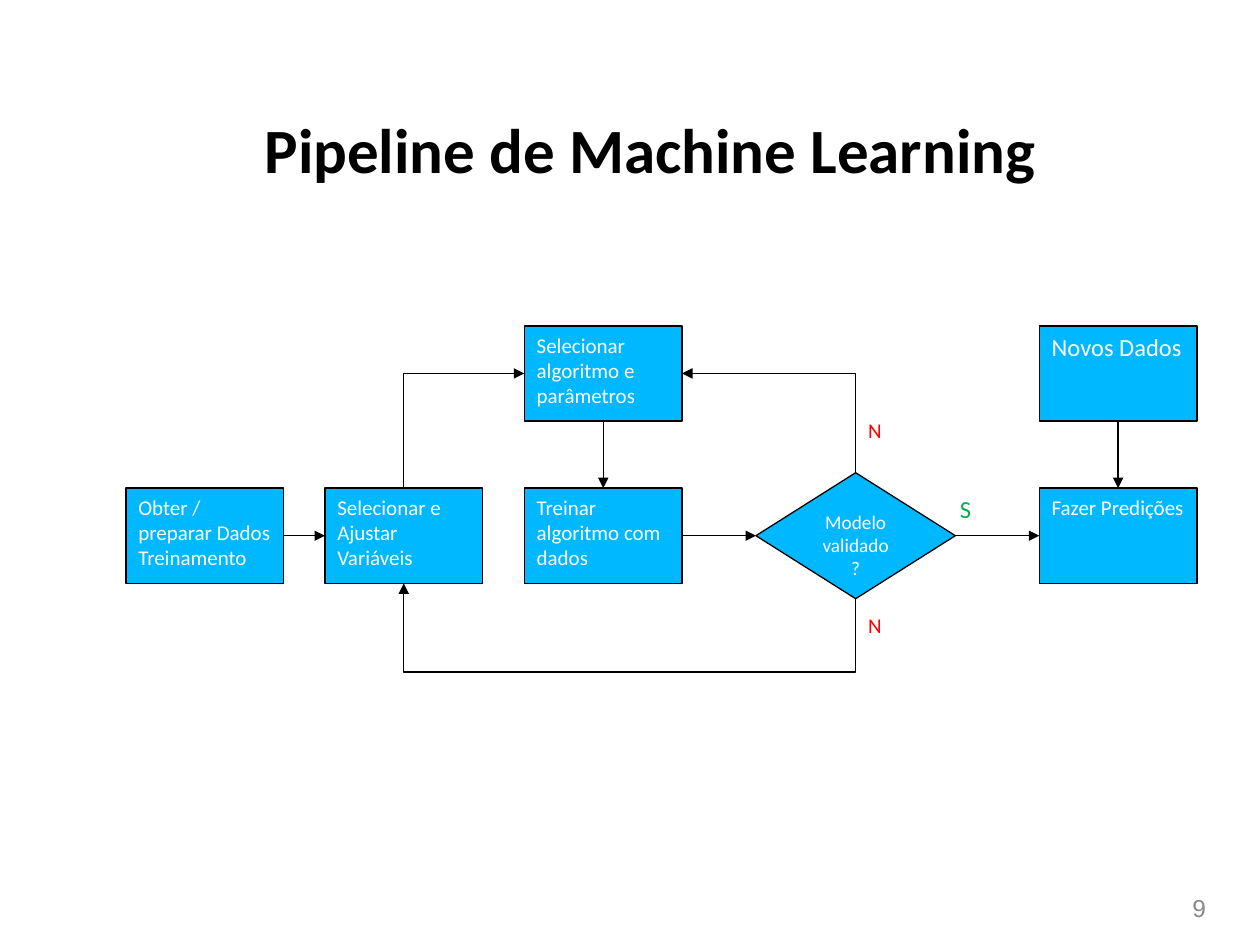
from pptx import Presentation
from pptx.dml.color import RGBColor
from pptx.enum.shapes import MSO_CONNECTOR as Link, MSO_SHAPE as Shape
from pptx.enum.text import MSO_ANCHOR as Anchor, PP_ALIGN as Align
from pptx.oxml.ns import qn
from pptx.util import Cm, Pt
from lxml.etree import SubElement

TITLE = "Pipeline de Machine Learning"
PAGE = "9"
COLUMNS = {"obter": 2.54, "ajustar": 6.55, "treinar": 10.57, "validar": 15.24, "predizer": 20.95}
ROWS = {"upper": 6.57, "lower": 9.84}
BOX = (3.18, 1.92)
DECISION = (4.02, 2.54)
LOOP_Y = 13.55

STEPS = {
    "obter": ("Obter / preparar Dados Treinamento", "obter", "lower", "step"),
    "ajustar": ("Selecionar e Ajustar Variáveis", "ajustar", "lower", "step"),
    "treinar": ("Treinar algoritmo com dados", "treinar", "lower", "step"),
    "algoritmo": ("Selecionar algoritmo e parâmetros", "treinar", "upper", "step"),
    "validar": ("Modelo validado?", "validar", "lower", "decision"),
    "predizer": ("Fazer Predições", "predizer", "lower", "step"),
    "novos": ("Novos Dados", "predizer", "upper", "input"),
}
TOP, LEFT, BOTTOM, RIGHT = range(4)
FLOWS = [
    ("obter", RIGHT, "ajustar", LEFT),
    ("treinar", RIGHT, "validar", LEFT),
    ("validar", RIGHT, "predizer", LEFT),
    ("algoritmo", BOTTOM, "treinar", TOP),
    ("novos", BOTTOM, "predizer", TOP),
]
RETURNS = [
    ("validar", BOTTOM, "ajustar", BOTTOM, "bentConnector3", {"rot": "5400000", "flipH": "1"}),
    ("validar", TOP, "algoritmo", RIGHT, "bentConnector2", {"rot": "16200000", "flipV": "1"}),
    ("ajustar", TOP, "algoritmo", LEFT, "bentConnector2",
     {"rot": "5400000", "flipH": "1", "flipV": "1"}),
]
ANSWERS = [
    ("S", (19.1, 9.83, 0.74, 0.86), "yes"),
    ("N", (17.25, 8.3, 0.79, 0.76), "no"),
    ("N", (17.25, 12.22, 0.79, 0.76), "no"),
]

THEME = {
    "fill": RGBColor(0x00, 0xB8, 0xFF),
    "line": RGBColor(0, 0, 0),
    "width": Pt(0.75),
    "title": ("Calibri", 36, "000000", True, Align.CENTER),
    "page": ("Arial", 14, "898989", False, Align.RIGHT),
    "step": ("Calibri", 12, "FFFFFF", False, Align.LEFT),
    "input": ("Calibri", 14, "FFFFFF", False, Align.LEFT),
    "decision": ("Calibri", 11, "FFFFFF", False, Align.CENTER),
    "yes": ("Calibri", 14, "00B050", False, Align.LEFT),
    "no": ("Calibri", 12, "FF0000", False, Align.LEFT),
}


def apply(target, values):
    for key, value in values.items():
        setattr(target, key, value)


def write(holder, text, style, anchor=Anchor.TOP, wrap=True):
    name, size, color, bold, align = THEME[style]
    frame = holder.text_frame
    apply(frame, {"text": text, "word_wrap": wrap, "vertical_anchor": anchor})
    paragraph = frame.paragraphs[0]
    paragraph.alignment = align
    font = paragraph.runs[0].font
    apply(font, {"name": name, "size": Pt(size), "bold": bold})
    font.color.rgb = RGBColor.from_string(color)


def add_step(slide, text, column, row, style):
    x, y = COLUMNS[column], ROWS[row]
    width, height = BOX
    kind = Shape.RECTANGLE
    if style == "decision":
        kind = Shape.DIAMOND
        width, height = DECISION
        y -= (height - BOX[1]) / 2
    step = slide.shapes.add_shape(kind, *map(Cm, (x, y, width, height)))
    step.shadow.inherit = False
    step.fill.solid()
    step.fill.fore_color.rgb = THEME["fill"]
    step.line.color.rgb = THEME["line"]
    step.line.width = THEME["width"]
    write(step, text, style)
    return step


def side_point(step, side):
    across = {LEFT: 0, RIGHT: 2}.get(side, 1)
    down = {TOP: 0, BOTTOM: 2}.get(side, 1)
    return step.left + step.width * across // 2, step.top + step.height * down // 2


def add_arrow(slide, kind, start, end):
    arrow = slide.shapes.add_connector(kind, *start, *end)
    arrow.line.color.rgb = THEME["line"]
    arrow.line.width = THEME["width"]
    properties = arrow.element.spPr
    SubElement(properties.find(qn("a:ln")), qn("a:tailEnd"), type="triangle")
    SubElement(properties, qn("a:effectLst"))
    return arrow


def add_return(slide, start, end, preset, turn):
    arrow = add_arrow(slide, Link.ELBOW, start, end)
    across, down = abs(end[0] - start[0]), abs(end[1] - start[1])
    apply(arrow, {
        "left": (start[0] + end[0] - down) // 2,
        "top": (start[1] + end[1] - across) // 2,
        "width": down,
        "height": across,
    })
    transform = arrow.element.spPr.find(qn("a:xfrm"))
    for flip in ("flipH", "flipV"):
        transform.attrib.pop(flip, None)
    for key, value in turn.items():
        transform.set(key, value)
    geometry = arrow.element.spPr.find(qn("a:prstGeom"))
    geometry.set("prst", preset)
    if preset == "bentConnector3":
        bend = round(100000 * (start[1] - Cm(LOOP_Y)) / down)
        guides = geometry.find(qn("a:avLst"))
        SubElement(guides, qn("a:gd"), name="adj1", fmla=f"val {bend}")


def main():
    deck = Presentation()
    apply(deck, {"slide_width": Cm(25.4), "slide_height": Cm(19.05)})
    slide = deck.slides.add_slide(deck.slide_layouts[5])

    title = slide.shapes.title
    apply(title, {"left": Cm(2.11), "top": Cm(2.03), "width": Cm(22), "height": Cm(1.91)})
    write(title, TITLE, "title", Anchor.MIDDLE)
    page = slide.shapes.add_textbox(*map(Cm, (18.64, 17.88, 5.92, 0.84)))
    write(page, PAGE, "page", Anchor.MIDDLE)

    steps = {key: add_step(slide, *step) for key, step in STEPS.items()}
    for source, source_side, target, target_side in FLOWS:
        start = side_point(steps[source], source_side)
        end = side_point(steps[target], target_side)
        arrow = add_arrow(slide, Link.STRAIGHT, start, end)
        arrow.begin_connect(steps[source], source_side)
        arrow.end_connect(steps[target], target_side)
    for source, source_side, target, target_side, preset, turn in RETURNS:
        start = side_point(steps[source], source_side)
        end = side_point(steps[target], target_side)
        add_return(slide, start, end, preset, turn)

    for text, place, style in ANSWERS:
        answer = slide.shapes.add_textbox(*map(Cm, place))
        write(answer, text, style, wrap=False)

    deck.save("out.pptx")


if __name__ == "__main__":
    main()
